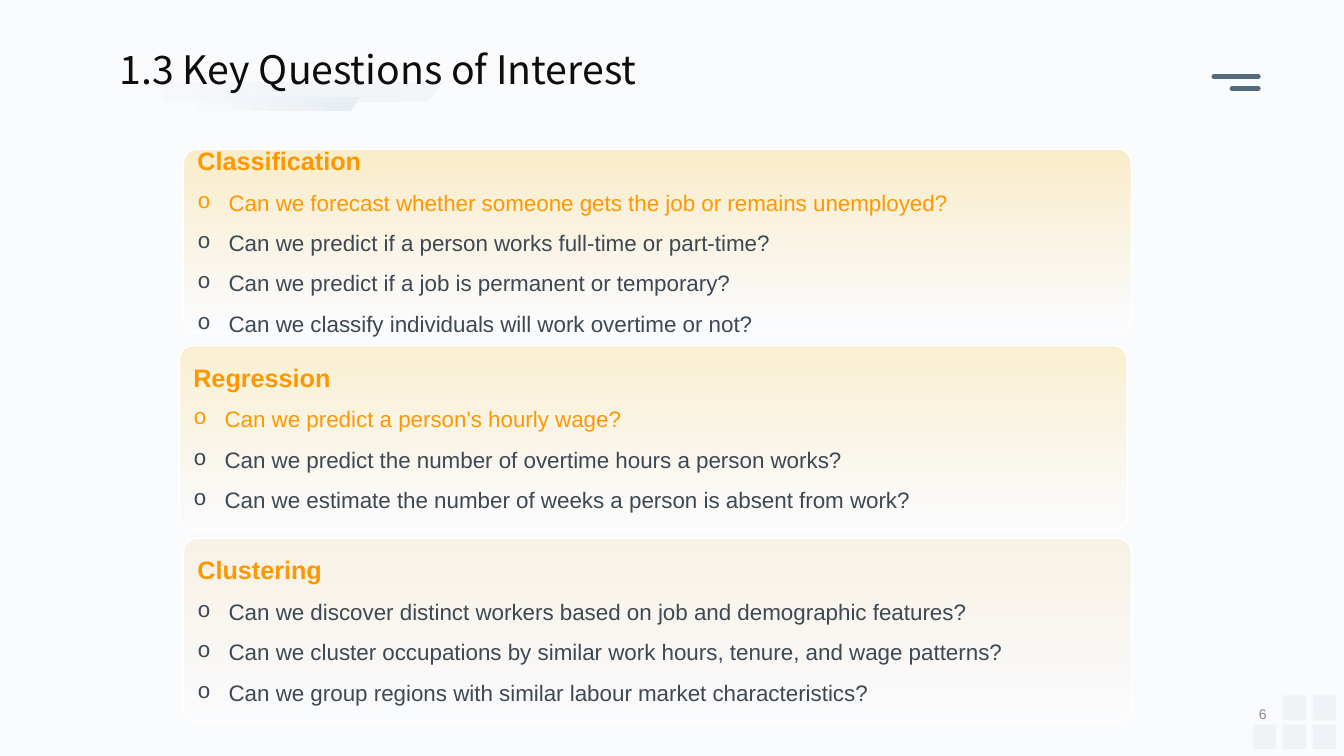
from pptx import Presentation
from pptx.dml.color import RGBColor
from pptx.enum.shapes import MSO_CONNECTOR, MSO_SHAPE
from pptx.enum.text import MSO_ANCHOR, PP_ALIGN
from pptx.oxml.ns import qn
from pptx.util import Inches, Pt
from lxml.etree import SubElement

# Content: heading, left, top, top colour, fade end, number of highlighted questions, questions
TITLE = "1.3 Key Questions of Interest"
PAGE_NUMBER = "6"
CARDS = [
    ("Classification", 1.82, 1.48, "F9ECC9", 0.96, 1, [
        "Can we forecast whether someone gets the job or remains unemployed?",
        "Can we predict if a person works full-time or part-time?",
        "Can we predict if a job is permanent or temporary?",
        "Can we classify individuals will work overtime or not?",
    ]),
    ("Regression", 1.78, 3.43, "F9EFD2", 1, 1, [
        "Can we predict a person's hourly wage?",
        "Can we predict the number of overtime hours a person works?",
        "Can we estimate the number of weeks a person is absent from work?",
    ]),
    ("Clustering", 1.82, 5.34, "F8F1E5", 1, 0, [
        "Can we discover distinct workers based on job and demographic features?",
        "Can we cluster occupations by similar work hours, tenure, and wage patterns?",
        "Can we group regions with similar labour market characteristics?",
    ]),
]
CARD_WIDTH, CARD_HEIGHT = 9.4, 1.82
BULLET_INDENT = 0.31

# Colours
PAPER, MIST, WHITE = "FAFBFD", "E6EDF3", "FFFFFF"
ORANGE, SLATE, STEEL = "FF9800", "3D4852", "546B7E"
TITLE_INK, NUMBER_GREY = "0D0D0D", "8C8C8C"


def rgb(value):
    return RGBColor.from_string(value)


def set_alpha(fill_parent, percent, index=0):
    color = list(fill_parent.iter(qn("a:srgbClr")))[index]
    SubElement(color, qn("a:alpha")).set("val", str(percent * 1000))


def add_box(slide, kind, left, top, width, height, adjustment=None):
    shape = slide.shapes.add_shape(
        kind, Inches(left), Inches(top), Inches(width), Inches(height))
    shape.shadow.inherit = False
    shape.line.fill.background()
    if adjustment is not None:
        shape.adjustments[0] = adjustment
    return shape


def fill_gradient(shape, first, last, angle, end=1):
    shape.fill.gradient()
    shape.fill.gradient_angle = angle
    for stop, color, position in zip(shape.fill.gradient_stops, (first, last), (0, end)):
        stop.color.rgb = rgb(color)
        stop.position = position


def write(paragraph, text, size, color, font="Arial", bold=False,
          align=PP_ALIGN.LEFT, bullet=False):
    paragraph.alignment = align
    if bullet:
        paragraph.line_spacing = 1.5
        properties = paragraph._p.get_or_add_pPr()
        properties.set("marL", str(Inches(BULLET_INDENT)))
        properties.set("indent", str(-Inches(BULLET_INDENT)))
        SubElement(properties, qn("a:buFont")).set("typeface", "Courier New")
        SubElement(properties, qn("a:buChar")).set("char", "o")
    run = paragraph.add_run()
    run.text = text
    run.font.name, run.font.size, run.font.bold = font, Pt(size), bold
    run.font.color.rgb = rgb(color)


def add_text(slide, left, top, width, height, text, anchor=MSO_ANCHOR.TOP, **style):
    box = slide.shapes.add_textbox(
        Inches(left), Inches(top), Inches(width), Inches(height))
    box.text_frame.word_wrap = True
    box.text_frame.vertical_anchor = anchor
    write(box.text_frame.paragraphs[0], text, **style)


def add_card(slide, heading, left, top, color, fade_end, highlighted, questions):
    card = add_box(slide, MSO_SHAPE.ROUNDED_RECTANGLE, left, top,
                   CARD_WIDTH, CARD_HEIGHT, 0.074)
    fill_gradient(card, color, PAPER, 270, fade_end)
    card.line.color.rgb = rgb(WHITE)
    card.line.width = Pt(1)
    frame = card.text_frame
    frame.word_wrap = True
    frame.vertical_anchor = MSO_ANCHOR.MIDDLE
    write(frame.paragraphs[0], heading, 18, ORANGE, bold=True)
    for index, question in enumerate(questions):
        write(frame.add_paragraph(), question, 16,
              ORANGE if index < highlighted else SLATE, bullet=True)


def main():
    presentation = Presentation()
    presentation.slide_width, presentation.slide_height = Inches(13.33), Inches(7.5)
    slide = presentation.slides.add_slide(presentation.slide_layouts[6])
    slide.background.fill.solid()
    slide.background.fill.fore_color.rgb = rgb(PAPER)

    # Corner squares: three below, two above
    for column, row in [(0, 1), (1, 1), (2, 1), (1, 0), (2, 0)]:
        square = add_box(slide, MSO_SHAPE.RECTANGLE, 12.43 + 0.295 * column,
                         6.9 + 0.29 * row, 0.23, 0.24)
        square.fill.solid()
        square.fill.fore_color.rgb = rgb(MIST)
        set_alpha(square._element.spPr, 50)

    # Title with its slanted accents
    lower = add_box(slide, MSO_SHAPE.PARALLELOGRAM, 1.77, 0.96, 1.8, 0.14, 0.697)
    fill_gradient(lower, PAPER, MIST, 0)
    upper = add_box(slide, MSO_SHAPE.PARALLELOGRAM, 1.3, 0.82, 3.1, 0.19, 0.874)
    fill_gradient(upper, PAPER, MIST, 0)
    set_alpha(upper._element.spPr, 31, index=1)
    add_text(slide, 1.09, 0.4, 10.87, 1.04, TITLE,
             size=28, color=TITLE_INK, font="Noto Sans CJK SC")

    # Menu strokes
    for start, y in [(12.04, 0.76), (12.22, 0.88)]:
        stroke = slide.shapes.add_connector(
            MSO_CONNECTOR.STRAIGHT, Inches(12.48), Inches(y), Inches(start), Inches(y))
        stroke.line.color.rgb = rgb(STEEL)
        stroke.line.width = Pt(3.5)
        properties = stroke._element.spPr
        properties.find(qn("a:ln")).set("cap", "rnd")
        SubElement(properties, qn("a:effectLst"))

    # Question cards and page number
    for card in CARDS:
        add_card(slide, *card)
    add_text(slide, 9.71, 6.91, 2.95, 0.35, PAGE_NUMBER, anchor=MSO_ANCHOR.MIDDLE,
             size=10, color=NUMBER_GREY, align=PP_ALIGN.RIGHT)

    presentation.save("out.pptx")


if __name__ == "__main__":
    main()
